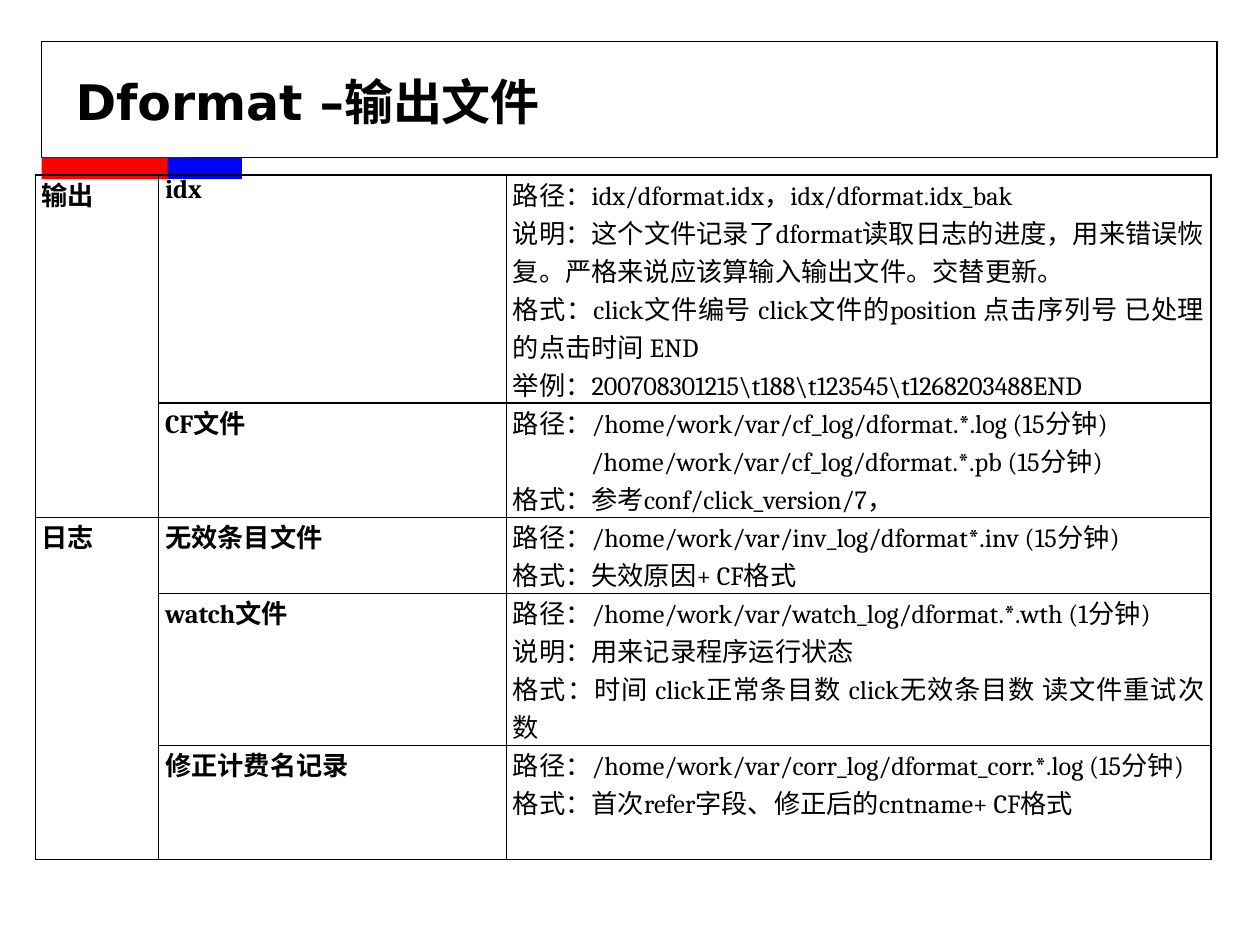
from lxml import etree
from pptx import Presentation
from pptx import util as u
from pptx.dml.color import RGBColor
from pptx.enum import shapes, text
from pptx.oxml import ns

COLORS = {"ink": "000000", "red": "FF0000", "blue": "0000FF"}
COLS = [0.98, 2.76, 5.59]
GROUPS = [
    ("输出", [
        ("idx", 1.81, [
            "路径：idx/dformat.idx，idx/dformat.idx_bak",
            "说明：这个文件记录了dformat读取日志的进度，用来错误恢复。严格来说应该算输入输出文件。交替更新。",
            "格式：click文件编号 click文件的position 点击序列号 已处理的点击时间 END",
            "举例：200708301215\\t188\\t123545\\t1268203488END"]),
        ("CF文件", 0.56, [
            "路径：/home/work/var/cf_log/dformat.*.log (15分钟)",
            "/home/work/var/cf_log/dformat.*.pb (15分钟)",
            "格式：参考conf/click_version/7，"]),
    ]),
    ("日志", [
        ("无效条目文件", 0.56, [
            "路径：/home/work/var/inv_log/dformat*.inv (15分钟)",
            "格式：失效原因+ CF格式"]),
        ("watch文件", 1.11, [
            "路径：/home/work/var/watch_log/dformat.*.wth (1分钟)",
            "说明：用来记录程序运行状态",
            "格式：时间 click正常条目数 click无效条目数 读文件重试次数"]),
        ("修正计费名记录", 0.83, [
            "路径：/home/work/var/corr_log/dformat_corr.*.log (15分钟)",
            "格式：首次refer字段、修正后的cntname+ CF格式"]),
    ]),
]


def rgb(name):
    """Return the named colour."""
    return RGBColor.from_string(COLORS[name])


def write(p, content, *, size=15, font="Cambria", bold=False, align=None, indent=0):
    """Put formatted text in a paragraph."""
    r = p.add_run()
    r.text = content
    r.font.size, r.font.name, r.font.bold = u.Pt(size), font, bold
    r.font.color.rgb = rgb("ink")
    p.alignment = align
    if indent:
        p._p.get_or_add_pPr().set("marL", str(u.Inches(indent)))


class Deck:
    """Hold the style and the current slide."""

    def __init__(self):
        """Start a deck with one title-only slide."""
        self.prs = Presentation()
        self.prs.slide_width, self.prs.slide_height = u.Inches(10), u.Inches(7.5)
        self.s = self.prs.slides.add_slide(self.prs.slide_layouts[5])

    def title(self, content, x, y, w, h):
        """Place and fill the title."""
        sp = self.s.shapes.title
        sp.left, sp.top, sp.width, sp.height = map(u.Inches, (x, y, w, h))
        tf = sp.text_frame
        tf.vertical_anchor = text.MSO_ANCHOR.MIDDLE
        write(tf.paragraphs[0], content, size=28, font="DejaVu Sans", bold=True,
              align=text.PP_ALIGN.LEFT)

    def rect(self, x, y, w, h, fill=None, line=None):
        """Add a rectangle."""
        sp = self.s.shapes.add_shape(shapes.MSO_SHAPE.RECTANGLE, *map(u.Inches, (x, y, w, h)))
        sp.shadow.inherit = False
        if fill:
            sp.fill.solid()
            sp.fill.fore_color.rgb = rgb(fill)
        else:
            sp.fill.background()
        if line:
            sp.line.color.rgb = rgb(line)
            sp.line.width = u.Pt(0.75)
        else:
            sp.line.fill.background()

    def frame(self, cell):
        """Clear a cell's fill and draw its borders and margins."""
        cell.fill.background()
        cell.margin_left = cell.margin_right = u.Inches(0.05)
        cell.margin_top = cell.margin_bottom = 0
        tcPr = cell._tc.get_or_add_tcPr()
        for i, side in enumerate("LRTB"):
            ln = etree.Element(ns.qn(f"a:ln{side}"), w=str(u.Pt(1)))
            fill = etree.SubElement(ln, ns.qn("a:solidFill"))
            etree.SubElement(fill, ns.qn("a:srgbClr"), val=COLORS["ink"])
            tcPr.insert(i, ln)

    def cell(self, cell, lines, bold=False):
        """Fill a cell with one paragraph per line."""
        tf = cell.text_frame
        for i, content in enumerate(lines):
            p = tf.add_paragraph() if i else tf.paragraphs[0]
            example = content.startswith("举例")
            write(p, content, bold=bold, indent=0.62 if content.startswith("/") else 0,
                  align=text.PP_ALIGN.LEFT if example else text.PP_ALIGN.JUSTIFY)

    def table(self, x, y, cols, groups):
        """Add a table whose first column spans each group's rows."""
        heights = [h for _, files in groups for _, h, _ in files]
        size = map(u.Inches, (x, y, sum(cols), sum(heights)))
        tbl = self.s.shapes.add_table(len(heights), len(cols), *size).table
        tbl.first_row = tbl.horz_banding = False
        for col, w in zip(tbl.columns, cols):
            col.width = u.Inches(w)
        for row, h in zip(tbl.rows, heights):
            row.height = u.Inches(h)
            for cell in row.cells:
                self.frame(cell)
        top = 0
        for group, files in groups:
            tbl.cell(top, 0).merge(tbl.cell(top + len(files) - 1, 0))
            self.cell(tbl.cell(top, 0), [group], bold=True)
            for i, (name, _, lines) in enumerate(files, top):
                self.cell(tbl.cell(i, 1), [name], bold=True)
                self.cell(tbl.cell(i, 2), lines)
            top += len(files)


def main():
    """Build the slide."""
    deck = Deck()
    deck.rect(0.33, 0.33, 9.33, 0.92, line="ink")
    deck.rect(0.33, 1.25, 1.18, 0.17, fill="red")
    deck.rect(1.33, 1.25, 0.59, 0.17, fill="blue")
    deck.title("Dformat –输出文件", 0.5, 0.38, 9, 0.85)
    deck.table(0.28, 1.39, COLS, GROUPS)
    deck.prs.save("out.pptx")


if __name__ == "__main__":
    main()
